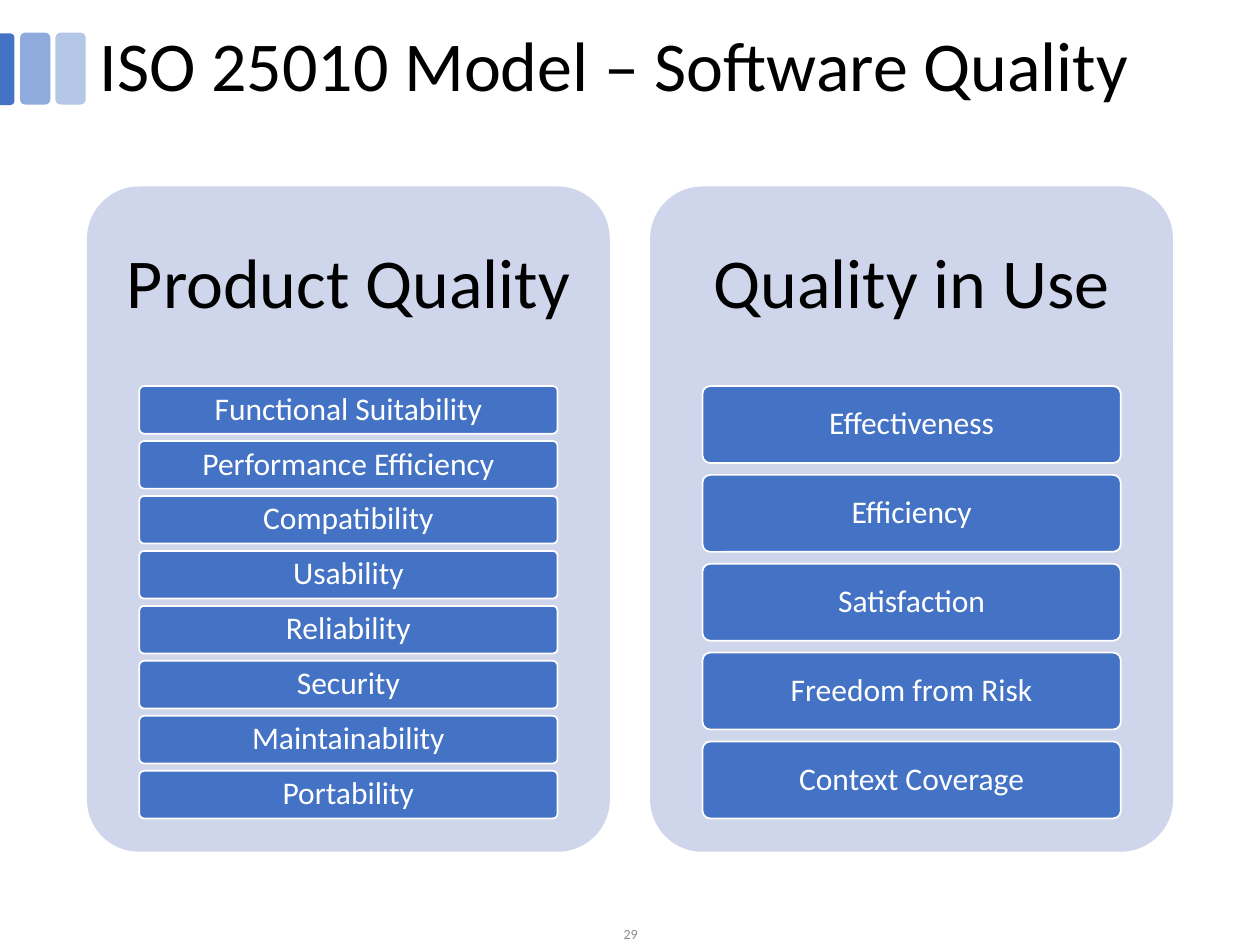
"""Builds the ISO 25010 software quality slide with its two model panels."""
from pptx import Presentation
from pptx.dml.color import RGBColor
from pptx.enum.shapes import MSO_SHAPE
from pptx.enum.text import MSO_ANCHOR, MSO_AUTO_SIZE, PP_ALIGN
from pptx.util import Inches, Pt

ROUNDED = MSO_SHAPE.ROUNDED_RECTANGLE
TOP_ROUNDED = MSO_SHAPE.ROUND_2_SAME_RECTANGLE
MIDDLE = MSO_ANCHOR.MIDDLE
CENTER, LEFT = PP_ALIGN.CENTER, PP_ALIGN.LEFT
NO_AUTOSIZE = MSO_AUTO_SIZE.NONE

FONT = "Calibri"
COLORS = {
    "blue": "4472C4",
    "mid_blue": "8FAADC",
    "light_blue": "B4C7E7",
    "panel": "CFD5EA",
    "black": "000000",
    "white": "FFFFFF",
    "gray": "8C8C8C",
}

PANEL_TOP, PANEL_WIDTH, PANEL_HEIGHT = 1.48, 4.15, 5.28
HEADING_HEIGHT = 0.3 * PANEL_HEIGHT
STACK_HEIGHT = 0.65 * PANEL_HEIGHT
BAR_INDENT = 0.1 * PANEL_WIDTH
GAP_RATIO = 0.154
PANELS = [
    (0.69, "Product Quality", [
        "Functional Suitability", "Performance Efficiency", "Compatibility",
        "Usability", "Reliability", "Security", "Maintainability",
        "Portability",
    ]),
    (5.16, "Quality in Use", [
        "Effectiveness", "Efficiency", "Satisfaction", "Freedom from Risk",
        "Context Coverage",
    ]),
]


def color(name):
    return RGBColor.from_string(COLORS[name])


def write_text(box, text, size, color_name, align=CENTER, spacing=0.9,
               inset_x=0.1, inset_y=0.05):
    frame = box.text_frame
    frame.text = text
    frame.word_wrap = True
    frame.auto_size = NO_AUTOSIZE
    frame.vertical_anchor = MIDDLE
    frame.margin_left = frame.margin_right = Inches(inset_x)
    frame.margin_top = frame.margin_bottom = Inches(inset_y)
    para = frame.paragraphs[0]
    para.alignment = align
    para.line_spacing = spacing
    para.font.name = FONT
    para.font.size = Pt(size)
    para.font.color.rgb = color(color_name)


def add_block(page, kind, left, top, width, height, fill, corner):
    block = page.shapes.add_shape(
        kind, Inches(left), Inches(top), Inches(width), Inches(height))
    block.shadow.inherit = False
    block.adjustments[0] = corner
    block.fill.solid()
    block.fill.fore_color.rgb = color(fill)
    block.line.fill.background()
    return block


def add_text(page, left, top, width, height, text, size, color_name, **layout):
    box = page.shapes.add_textbox(
        Inches(left), Inches(top), Inches(width), Inches(height))
    write_text(box, text, size, color_name, **layout)


def add_title_marks(page):
    for left, fill in [(0.44, "light_blue"), (0.16, "mid_blue")]:
        add_block(page, ROUNDED, left, 0.26, 0.24, 0.57, fill, 0.167)
    edge = add_block(page, TOP_ROUNDED, -0.23, 0.49, 0.57, 0.12, "blue", 0.292)
    edge.rotation = 90


def add_bar(page, left, top, width, height, label):
    bar = add_block(page, ROUNDED, left, top, width, height, "blue", 0.1)
    bar.line.color.rgb = color("white")
    bar.line.width = Pt(1)
    write_text(bar, label, 18, "white", inset_x=0.05, inset_y=0.04)


def add_panel(page, left, heading, labels):
    add_block(page, ROUNDED, left, PANEL_TOP, PANEL_WIDTH, PANEL_HEIGHT,
              "panel", 0.1)
    add_text(page, left, PANEL_TOP, PANEL_WIDTH, HEADING_HEIGHT, heading, 40,
             "black", inset_x=0.17, inset_y=0.17)
    count = len(labels)
    height = STACK_HEIGHT / (count + (count - 1) * GAP_RATIO)
    for index, label in enumerate(labels):
        top = PANEL_TOP + HEADING_HEIGHT + index * height * (1 + GAP_RATIO)
        add_bar(page, left + BAR_INDENT, top, PANEL_WIDTH - 2 * BAR_INDENT,
                height, label)


def set_title(page, text):
    title = page.shapes.title
    title.left, title.top = Inches(0.69), Inches(0.17)
    title.width, title.height = Inches(9.3), Inches(0.75)
    write_text(title, text, 40, "black", align=LEFT)


def main():
    deck = Presentation()
    deck.slide_width, deck.slide_height = Inches(10), Inches(7.5)
    page = deck.slides.add_slide(deck.slide_layouts[5])
    set_title(page, "ISO 25010 Model – Software Quality")
    add_title_marks(page)
    for left, heading, labels in PANELS:
        add_panel(page, left, heading, labels)
    add_text(page, 3.88, 7.32, 2.25, 0.18, "29", 8, "gray", spacing=1.0)
    deck.save("out.pptx")


if __name__ == "__main__":
    main()
